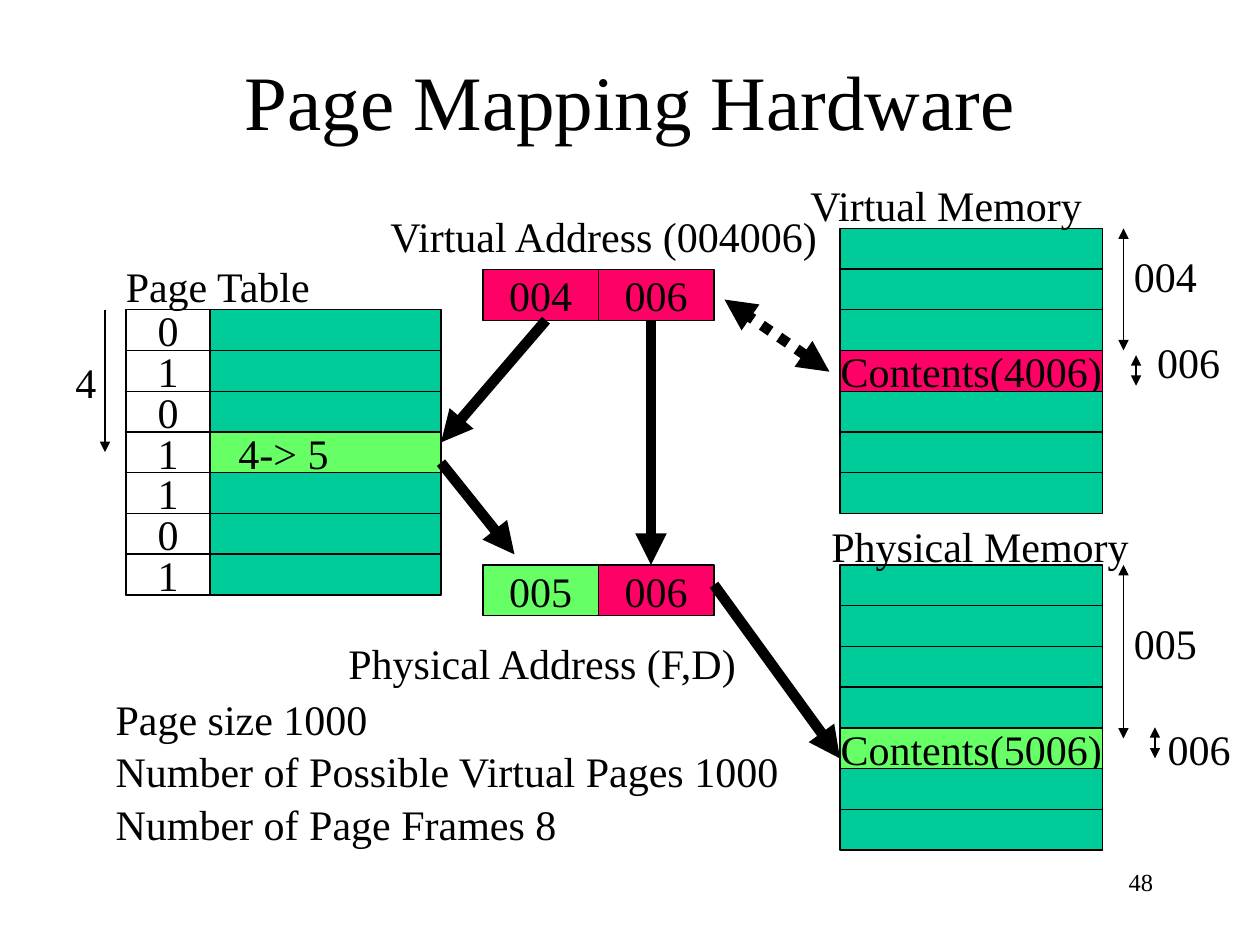
"""Build the Page Mapping Hardware slide."""
import pptx
import pptx.dml.color
import pptx.enum.dml
import pptx.enum.shapes
import pptx.enum.text
import pptx.oxml
import pptx.oxml.ns
import pptx.util

Pt = pptx.util.Pt
ALIGN = pptx.enum.text.PP_ALIGN
ANCHOR = pptx.enum.text.MSO_ANCHOR
FIT = pptx.enum.text.MSO_AUTO_SIZE
DOTS = pptx.enum.dml.MSO_LINE.ROUND_DOT
RECT = pptx.enum.shapes.MSO_SHAPE.RECTANGLE
LINE = pptx.enum.shapes.MSO_CONNECTOR.STRAIGHT

INK, TEAL, PINK, LIME, WHITE = "000000", "00CC99", "FF0066", "66FF66", "FFFFFF"
ROW = 23.28


def color(text):
    return pptx.dml.color.RGBColor.from_string(text)


def apply(item, form):
    for name, value in form.items():
        setattr(item, name, value)


class Deck:
    def __init__(self):
        self.show = pptx.Presentation()
        apply(self.show, {"slide_width": Pt(720), "slide_height": Pt(540)})
        self.slide = self.show.slides.add_slide(self.show.slide_layouts[5])
        self.face = "Times New Roman"

    def letter(self, shape, text, size=24, align=ALIGN.LEFT, **form):
        frame = shape.text_frame
        frame.text = text
        apply(frame, form)
        for rank, para in enumerate(frame.paragraphs):
            apply(para, {"alignment": align, "space_before": Pt(1.2 if rank else 0)})
            apply(para.font, {"name": self.face, "size": Pt(size)})
            para.font.color.rgb = color(INK)

    def title(self, text, left, top, width, height):
        shape = self.slide.shapes.title
        apply(shape, {"left": Pt(left), "top": Pt(top),
                      "width": Pt(width), "height": Pt(height)})
        self.letter(shape, text, 44, ALIGN.CENTER, vertical_anchor=ANCHOR.MIDDLE)

    def label(self, text, left, top, width, height=36, wrap=False, **form):
        shape = self.slide.shapes.add_textbox(Pt(left), Pt(top), Pt(width), Pt(height))
        self.letter(shape, text, word_wrap=wrap,
                    auto_size=FIT.SHAPE_TO_FIT_TEXT, **form)

    def cell(self, left, top, width, height, fill, text=""):
        shape = self.slide.shapes.add_shape(RECT, Pt(left), Pt(top), Pt(width), Pt(height))
        shape.shadow.inherit = False
        shape.fill.solid()
        shape.fill.fore_color.rgb = color(fill)
        shape.line.color.rgb = color(INK)
        shape.line.width = Pt(0.75)
        if text:
            self.letter(shape, text, align=ALIGN.CENTER, word_wrap=False,
                        vertical_anchor=ANCHOR.MIDDLE)

    def stack(self, left, top, width, mark, fill, text):
        for rank in range(7):
            look = (fill, text) if rank == mark else (TEAL, "")
            self.cell(left, top + rank * ROW, width, ROW, *look)

    def arrow(self, start, end, width=0.75, both=False, dash=None):
        line = self.slide.shapes.add_connector(LINE, *map(Pt, start + end))
        line.line.color.rgb = color(INK)
        apply(line.line, {"width": Pt(width), "dash_style": dash})
        space = pptx.oxml.ns.nsdecls("a")
        frame = line._element.spPr
        edge = frame.get_or_add_ln()
        for tag in ("a:headEnd", "a:tailEnd")[0 if both else 1:]:
            edge.append(pptx.oxml.parse_xml(f"<{tag} {space} type='triangle'/>"))
        frame.append(pptx.oxml.parse_xml(f"<a:effectLst {space}/>"))


def main():
    deck = Deck()
    deck.label("48", 516, 492, 150, wrap=True, size=14, align=ALIGN.RIGHT)
    deck.title("Page Mapping Hardware", 54, 12, 612, 90)

    deck.stack(480, 130.5, 150, 3, PINK, "Contents(4006)")
    deck.stack(480, 322.8, 150, 4, LIME, "Contents(5006)")
    for top, fill, page in ((154, PINK, "004"), (322.8, LIME, "005")):
        deck.cell(276, top, 66, 29, fill, page)
        deck.cell(342, top, 66, 29, PINK, "006")
    deck.stack(72, 177, 180, 3, LIME, "4-> 5")
    for rank, flag in enumerate("0101101"):
        deck.cell(72, 177 + rank * ROW, 48, ROW, WHITE, flag)

    deck.arrow((474, 212.4), (414, 171.2), 6, True, DOTS)
    for start, end in (((372, 183), (372, 322.8)), ((312, 183), (252, 252.8)),
                       ((252, 264.4), (294, 316.8)), ((408, 334.2), (480, 433.4))):
        deck.arrow(start, end, 6)
    for left, top, end in ((642, 130.5, 200.2), (642, 322.8, 422),
                           (649.2, 203, 220.4), (660, 415.6, 433.4)):
        deck.arrow((left, top), (left, end), both=True)
    deck.arrow((60, 177), (60, 258.4))

    for text, left, top, width in (
            ("Page Table", 64.8, 145.5, 121.5), ("Virtual Memory", 456, 98.8, 170.5),
            ("Physical Memory", 468, 293.8, 184.5),
            ("Virtual Address (004006)", 216, 116.5, 260.5),
            ("Physical Address (F,D)", 192, 360.8, 239), ("004", 640.8, 139.5, 50.5),
            ("005", 640.8, 349.2, 50.5), ("006", 654.2, 188.8, 50.5),
            ("006", 660.2, 409.8, 50.5), ("4", 36, 200.4, 26)):
        deck.label(text, left, top, width)
    deck.label("Page size 1000\nNumber of Possible Virtual Pages 1000\n"
               "Number of Page Frames 8", 59, 392.5, 409, 93.6, True)
    deck.show.save("out.pptx")


if __name__ == "__main__":
    main()
